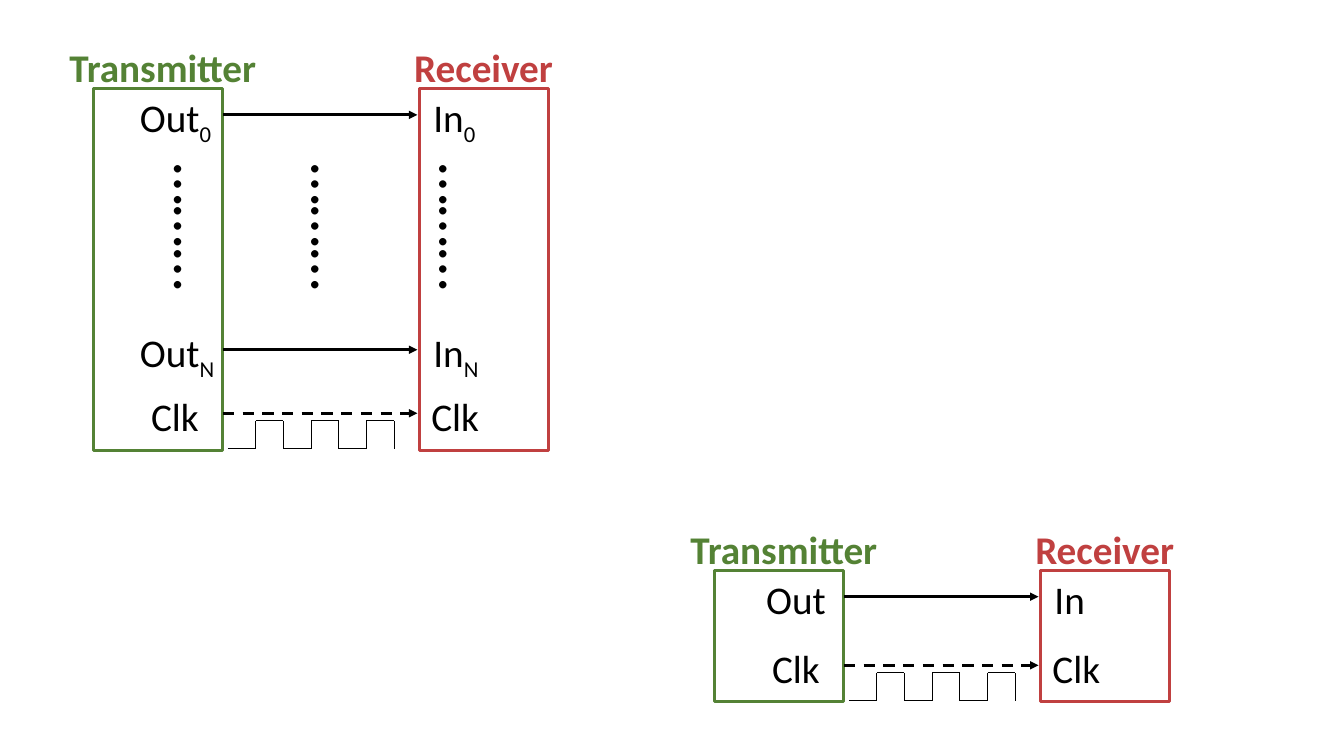
import pptx
import pptx.dml.color
import pptx.enum.dml
import pptx.enum.shapes
import pptx.enum.text
import pptx.oxml.ns
import pptx.util
from lxml import etree

Inches = pptx.util.Inches
GREEN, RED, BLACK = "548235", "C04040", "000000"
BLOCK_WIDTH = 1.28
RECEIVER_OFFSET = 3.23
TITLE_HEIGHT = 0.5
PULSE_STEP = 0.275


def color(hex_value):
    return pptx.dml.color.RGBColor.from_string(hex_value)


def add_child(parent, tag, **attributes):
    return etree.SubElement(parent, pptx.oxml.ns.qn(tag), attributes)


class Diagram:
    """Drawing style plus the slide or group that receives the shapes."""

    font_name = "Calibri"
    label_size = 28
    label_height = 0.57

    def __init__(self, shapes):
        self.shapes = shapes

    def group(self):
        return Diagram(self.shapes.add_group_shape().shapes)

    def block(self, left, top, height, outline):
        shape = self.shapes.add_shape(
            pptx.enum.shapes.MSO_SHAPE.RECTANGLE,
            Inches(left), Inches(top), Inches(BLOCK_WIDTH), Inches(height))
        shape.shadow.inherit = False
        shape.fill.background()
        shape.line.color.rgb = color(outline)
        shape.line.width = pptx.util.Pt(2)

    def text(self, left, top, width, content, subscript="", fill=BLACK,
             bold=False, size=label_size, height=label_height, rotation=0):
        box = self.shapes.add_textbox(
            Inches(left), Inches(top), Inches(width), Inches(height))
        box.rotation = rotation
        frame = box.text_frame
        frame.word_wrap = False
        frame.auto_size = pptx.enum.text.MSO_AUTO_SIZE.SHAPE_TO_FIT_TEXT
        paragraph = frame.paragraphs[0]
        for part, baseline in ((content, None), (subscript, "-25000")):
            if not part:
                continue
            run = paragraph.add_run()
            run.text = part
            run.font.name = self.font_name
            run.font.size = pptx.util.Pt(size)
            run.font.bold = bold
            run.font.color.rgb = color(fill)
            if baseline:
                run._r.get_or_add_rPr().set("baseline", baseline)

    def line(self, start, end, width=0.5, dashed=False, arrow=False):
        connector = self.shapes.add_connector(
            pptx.enum.shapes.MSO_CONNECTOR.STRAIGHT,
            *(Inches(value) for value in (*start, *end)))
        connector.line.color.rgb = color(BLACK)
        connector.line.width = pptx.util.Pt(width)
        if dashed:
            connector.line.dash_style = pptx.enum.dml.MSO_LINE.DASH
        if arrow:
            add_child(connector.line._get_or_add_ln(), "a:tailEnd", type="triangle")
        add_child(connector._element.spPr, "a:effectLst")

    def clock_wave(self, left, high, pulses=3):
        wave = self.group()
        low = high + PULSE_STEP
        for step in range(2 * pulses):
            start = left + step * PULSE_STEP
            end = start + PULSE_STEP
            level = high if step % 2 else low
            wave.line((start, level), (end, level))
            wave.line((end, low), (end, high))

    def link(self, left, top, height, rows):
        """Draw a transmitter and receiver; rows hold (offset, output, input).

        Each label is (indent, width, text, subscript); the last row is the clock.
        """
        right = left + RECEIVER_OFFSET
        self.block(left, top, height, GREEN)
        self.block(right, top, height, RED)
        title_top = top - TITLE_HEIGHT
        self.text(left - 0.34, title_top, 2.09, "Transmitter", fill=GREEN, bold=True)
        self.text(right - 0.15, title_top, 1.6, "Receiver", fill=RED, bold=True)
        for offset, output, receiving in rows:
            row_top = top + offset
            for origin, (indent, width, *label) in ((left, output), (right, receiving)):
                self.text(origin + indent, row_top, width, *label)
            arrow_top = row_top + 0.26
            self.line((left + BLOCK_WIDTH, arrow_top), (right - 0.02, arrow_top),
                      width=2, dashed=output[2] == "Clk", arrow=True)
        self.clock_wave(left + 1.33, arrow_top + 0.075)

    def vertical_dots(self, left, top):
        self.text(left, top, 1.48, "………", size=44, height=0.84, rotation=90)


def clock_row(offset):
    return offset, (0.47, 0.68, "Clk"), (0.02, 0.68, "Clk")


def main():
    presentation = pptx.Presentation()
    presentation.slide_width = Inches(13.33)
    presentation.slide_height = Inches(7.5)
    slide = presentation.slides.add_slide(presentation.slide_layouts[6])
    diagram = Diagram(slide.shapes)

    diagram.link(0.93, 0.88, 3.59, [
        (0, (0.36, 0.93, "Out", "0"), (0.04, 0.64, "In", "0")),
        (2.33, (0.36, 0.97, "Out", "N"), (0.04, 0.68, "In", "N")),
        clock_row(2.96),
    ])
    for left in (1.23, 2.59, 3.86):
        diagram.vertical_dots(left, 1.84)

    diagram.group().link(7.09, 5.66, 1.3, [
        (0, (0.41, 0.8, "Out"), (0.04, 0.51, "In")),
        clock_row(0.68),
    ])
    presentation.save("out.pptx")


if __name__ == "__main__":
    main()
